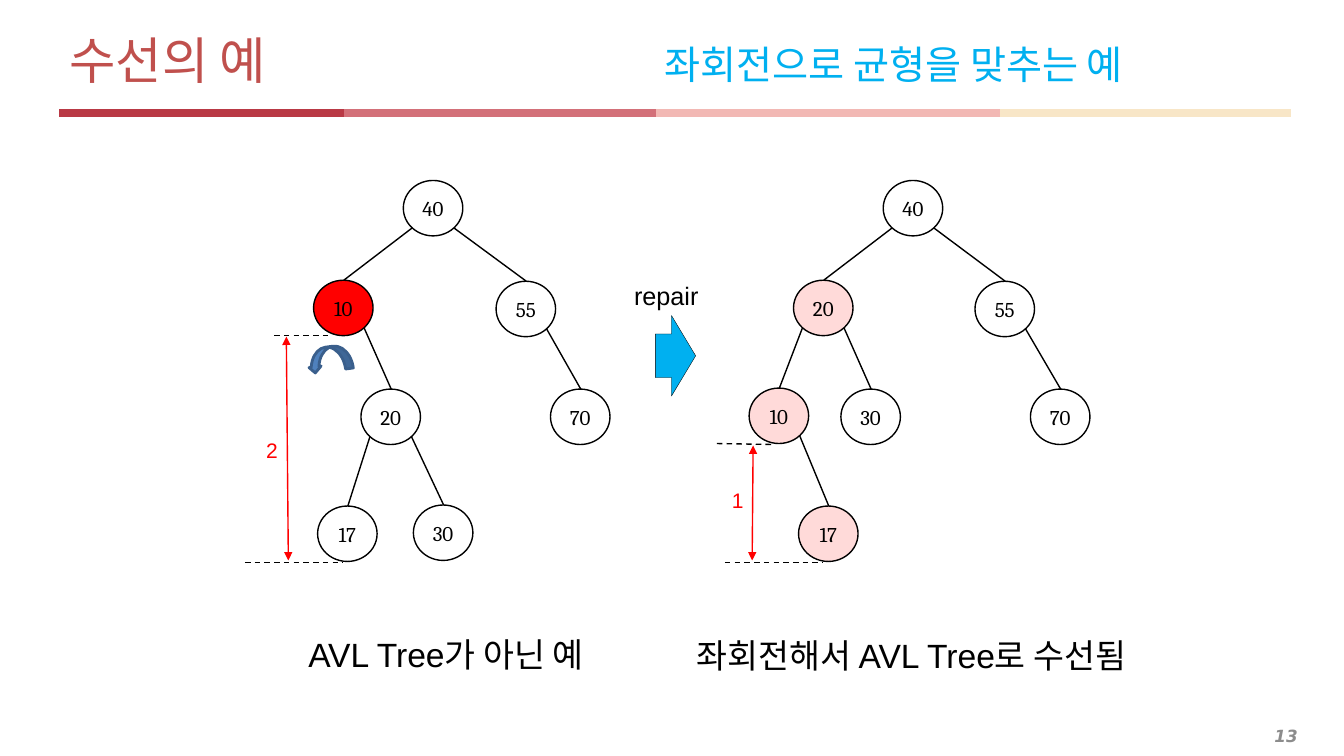
"""Build a slide that shows an AVL tree repaired by a left rotation."""
import pptx
import pptx.util
import pptx.dml.color
import pptx.enum.dml
import pptx.enum.shapes
import pptx.enum.text
import pptx.oxml.ns
from lxml import etree

PX = 9144
RGB = pptx.dml.color.RGBColor
BLACK = RGB(0, 0, 0)
RED = RGB(255, 0, 0)
PINK = RGB(0xFF, 0xDA, 0xD9)
SKY = RGB(0x00, 0xB0, 0xF0)
BRICK = RGB(0xC0, 0x50, 0x4D)
GREY = RGB(0x8C, 0x8C, 0x8C)
STEEL = RGB(0x4F, 0x81, 0xBD)
NAVY = RGB(0x3A, 0x5F, 0x8C)
BANDS = [RGB(0xB9, 0x39, 0x45), RGB(0xD3, 0x70, 0x79),
         RGB(0xF2, 0xB8, 0xB4), RGB(0xF8, 0xE6, 0xC7)]
KIND = pptx.enum.shapes.MSO_SHAPE
ALIGN = pptx.enum.text.PP_ALIGN
MIDDLE = pptx.enum.text.MSO_ANCHOR.MIDDLE
DASH = pptx.enum.dml.MSO_LINE.DASH
KOREAN = "Noto Sans CJK KR"
qn = pptx.oxml.ns.qn

deck = pptx.Presentation()
deck.slide_width = 1333 * PX
deck.slide_height = 750 * PX
slide = deck.slides.add_slide(deck.slide_layouts[6])
shapes = slide.shapes


def write(para, text, color, form):
    """Add a run with the given colour and font values."""
    run = para.add_run()
    run.text = text
    for key, val in form.items():
        setattr(run.font, key, val)
    run.font.color.rgb = color
    etree.SubElement(run.font._element, qn("a:ea"), typeface=KOREAN)


def draw(ends, color=BLACK, width=1, dash=None, heads=False):
    """Add a straight line between two points."""
    wire = shapes.add_connector(pptx.enum.shapes.MSO_CONNECTOR.STRAIGHT,
                                *[n * PX for n in ends])
    wire.line.color.rgb = color
    wire.line.width = pptx.util.Pt(width)
    wire.line.dash_style = dash
    if heads:
        for tag in ("a:headEnd", "a:tailEnd"):
            etree.SubElement(wire.line._ln, qn(tag), type="triangle")
    etree.SubElement(wire._element.spPr, qn("a:effectLst"))


stops = [59, 341, 651, 992, 1280]
for left, right, color in zip(stops, stops[1:], BANDS):
    draw((left, 112, right, 112), color, 6)

head = {"name": KOREAN, "size": pptx.util.Pt(36)}
side = {"name": KOREAN, "size": pptx.util.Pt(28)}
small = {"name": "Arial", "size": pptx.util.Pt(15)}
label = {"name": "Arial", "size": pptx.util.Pt(18)}
large = {"name": "Arial", "size": pptx.util.Pt(24)}
page = {"name": "DejaVu Sans", "size": pptx.util.Pt(12),
        "bold": True, "italic": True}
notes = [
    ((59, 25, 1221, 68), "수선의 예", BRICK, head),
    ((254, 429, 32, 35), "2", RED, small),
    ((716, 479, 32, 35), "1", RED, small),
    ((619, 273, 92, 40), "repair", BLACK, label),
    ((296, 624, 310, 50), "AVL Tree가 아닌 예", BLACK, large),
    ((681, 625, 486, 50), "좌회전해서 AVL Tree로 수선됨", BLACK, large),
    ((20, 714, 1277, 31), "13", GREY, page),
]
for area, text, color, form in notes:
    frame = shapes.add_textbox(*[n * PX for n in area]).text_frame
    frame.word_wrap = True
    para = frame.paragraphs[0]
    write(para, text, color, form)
    if form is head:
        frame.vertical_anchor = MIDDLE
        tabs = etree.SubElement(para._p.get_or_add_pPr(), qn("a:tabLst"))
        etree.SubElement(tabs, qn("a:tab"), pos=str(590 * PX), algn="l")
        write(para, "\t좌회전으로 균형을 맞추는 예", SKY, side)
    if form is page:
        frame.vertical_anchor = MIDDLE
        para.alignment = ALIGN.RIGHT

before = {40: (400, 179, None), 10: (311, 278, RED), 55: (492, 279, None),
          20: (358, 386, None), 70: (546, 386, None),
          17: (315, 502, None), 30: (410, 501, None)}
after = {40: (876, 179, None), 20: (787, 278, PINK), 55: (967, 279, None),
         10: (743, 385, PINK), 30: (834, 386, None), 70: (1022, 386, None),
         17: (792, 502, PINK)}
trees = [
    (before, [(40, 10), (40, 55), (10, 20), (55, 70), (20, 17), (20, 30)]),
    (after, [(40, 20), (40, 55), (20, 10), (20, 30), (55, 70), (10, 17)]),
]
digit = {"name": "Cambria", "size": pptx.util.Pt(15)}
for nodes, edges in trees:
    for top, low in edges:
        x, y, _ = nodes[top]
        end, base, _ = nodes[low]
        draw((x + (9 if end < x else 50), y + 47, end + 30, base))
    for key, (x, y, color) in nodes.items():
        node = shapes.add_shape(KIND.OVAL, x * PX, y * PX, 59 * PX, 55 * PX)
        node.shadow.inherit = False
        if color is None:
            node.fill.background()
        else:
            node.fill.solid()
            node.fill.fore_color.rgb = color
        node.line.color.rgb = BLACK
        node.line.width = pptx.util.Pt(1)
        frame = node.text_frame
        frame.word_wrap = False
        frame.vertical_anchor = MIDDLE
        frame.margin_left = frame.margin_right = 0
        frame.paragraphs[0].alignment = ALIGN.CENTER
        write(frame.paragraphs[0], str(key), BLACK, digit)

for ends in [(243, 558, 340, 558), (272, 333, 328, 333),
             (719, 558, 816, 558), (711, 440, 767, 441)]:
    draw(ends, dash=DASH)
for ends in [(284, 334, 286, 556), (747, 442, 746, 556)]:
    draw(ends, RED, heads=True)

arrows = [
    (KIND.RIGHT_ARROW, (650, 313, 40, 80), (0.54, 0.6), 0, SKY, BLACK, 0.25),
    (KIND.CURVED_RIGHT_ARROW, (315, 334, 24, 44), (0.32, 0.5, 0.25), 82.6,
     STEEL, NAVY, 2),
]
for kind, area, bends, turn, color, edge, width in arrows:
    arrow = shapes.add_shape(kind, *[n * PX for n in area])
    for i, bend in enumerate(bends):
        arrow.adjustments[i] = bend
    arrow.rotation = turn
    arrow.shadow.inherit = False
    arrow.fill.solid()
    arrow.fill.fore_color.rgb = color
    arrow.line.color.rgb = edge
    arrow.line.width = pptx.util.Pt(width)

deck.save("out.pptx")
